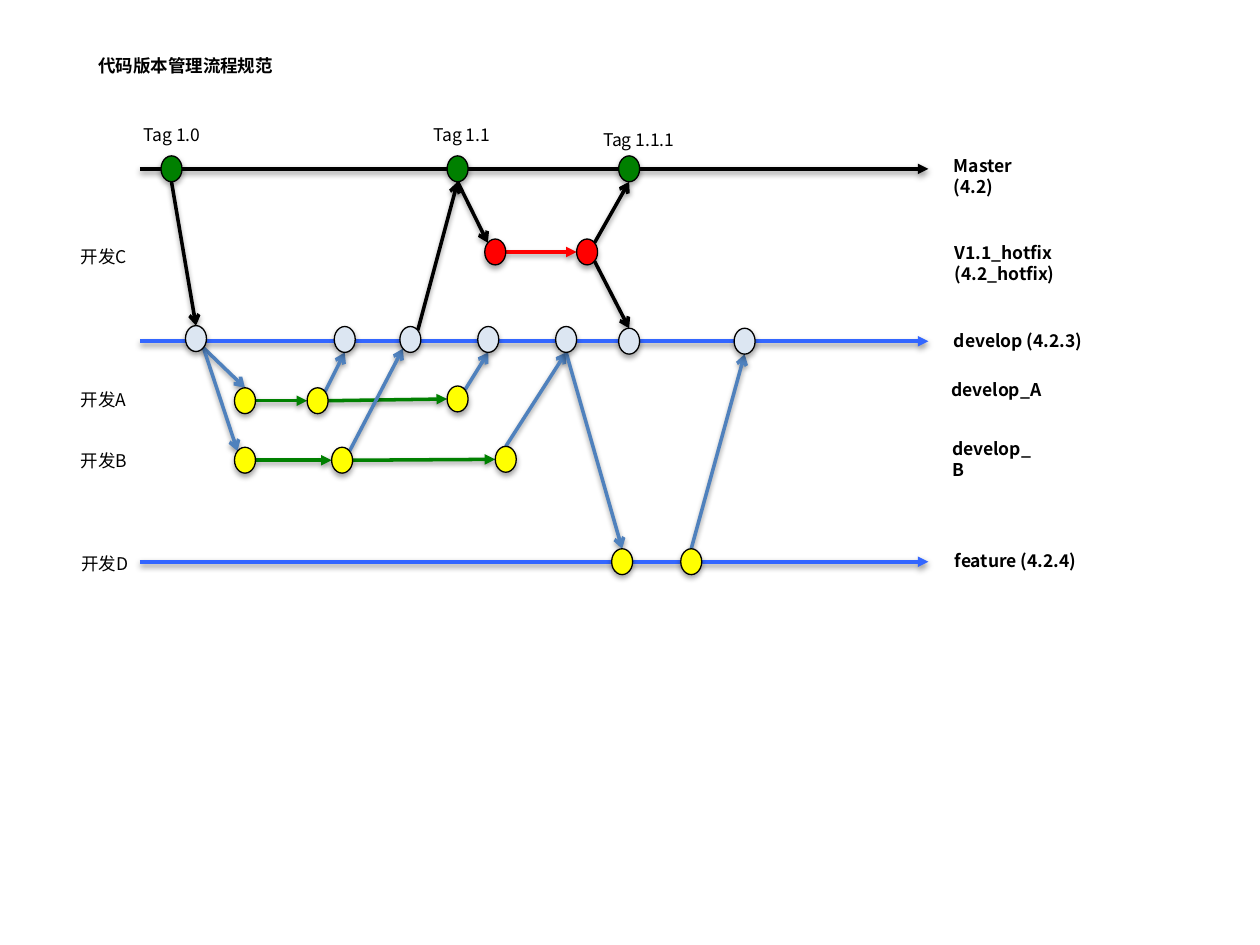
from pptx import Presentation, oxml
from pptx.dml.color import RGBColor
from pptx.enum import shapes, text
from pptx.oxml import ns
from pptx.util import Pt

FONT = "Noto Sans CJK SC"
BLACK = RGBColor(0x00, 0x00, 0x00)
BLUE = RGBColor(0x33, 0x66, 0xFF)
STEEL = RGBColor(0x4F, 0x81, 0xBD)
PALE = RGBColor(0xDC, 0xE6, 0xF2)
GREEN = RGBColor(0x00, 0x80, 0x00)
YELLOW = RGBColor(0xFF, 0xFF, 0x00)
RED = RGBColor(0xFF, 0x00, 0x00)

WIDE, HIGH = 12, 14.8
DIAG = 0.71
SIDES = {
    "N": (0, -1), "S": (0, 1), "E": (1, 0), "W": (-1, 0),
    "NE": (DIAG, -DIAG), "NW": (-DIAG, -DIAG),
    "SE": (DIAG, DIAG), "SW": (-DIAG, DIAG),
}
LANES = [(0, BLACK), (98.5, BLUE), (224.5, BLUE)]
NODES = {
    "tag1": (18, 0, GREEN), "tag2": (181.5, 0, GREEN), "tag3": (279.5, 0, GREEN),
    "fix1": (203, 47.5, RED), "fix2": (255.5, 47.5, RED),
    "dev1": (32, 97, PALE), "dev2": (117, 97.5, PALE), "dev3": (154.5, 97.5, PALE),
    "dev4": (199, 97.5, PALE), "dev5": (243.5, 97.5, PALE),
    "dev6": (279.5, 98.5, PALE), "dev7": (345.5, 98.5, PALE),
    "a1": (60, 132.5, YELLOW), "a2": (101.5, 132.5, YELLOW), "a3": (181.5, 131.5, YELLOW),
    "b1": (60, 166.5, YELLOW), "b2": (115.5, 166.5, YELLOW), "b3": (209, 166, YELLOW),
    "new1": (275.5, 224.5, YELLOW), "new2": (315, 224.5, YELLOW),
}
FLOWS = [
    (GREEN, "triangle", ["a1 E a2 W", "a2 E a3 W", "b1 E b2 W", "b2 E b3 W"]),
    (RED, "triangle", ["fix1 E fix2 W"]),
    (BLACK, "arrow", ["tag1 S dev1 N", "dev3 NE tag2 S", "tag2 S fix1 NW",
                      "fix2 NE tag3 S", "fix2 SE dev6 N"]),
    (STEEL, "arrow", ["dev1 SE a1 N", "dev1 SE b1 NW", "a2 NE dev2 S", "b2 NE dev3 SW",
                      "a3 NE dev4 S", "b3 N dev5 S", "dev5 S new1 N", "new2 N dev7 S"]),
]
TAGS = [("Tag 1.0", 0, 0, 48.5), ("Tag 1.1", 165.5, 0, 49), ("Tag 1.1.1", 262.5, 2.5, 57)]
TEAMS = [("开发C", 0, 0, 41.5), ("开发A", 0, 82, 41.5), ("开发B", 0, 116.5, 41),
         ("开发D", 0.5, 175.5, 42.5)]
NAMES = [
    ("Master\n(4.2)", 0, 0, 92), ("V1.1_hotfix (4.2_hotfix)", 0.5, 49.5, 115),
    ("develop (4.2.3)", 0, 100, 104.5), ("develop_A", -1.5, 128, 67),
    ("develop_B", -1, 161.5, 64), ("feature (4.2.4)", 0.5, 226, 104.5),
]


def shade(item, blur, dist, alpha):
    """Give a shape or connector a soft shadow straight below it."""
    item._element.spPr.append(oxml.parse_xml(
        f'<a:effectLst {ns.nsdecls("a")}><a:outerShdw blurRad="{Pt(blur)}" '
        f'dist="{Pt(dist)}" dir="5400000" rotWithShape="0"><a:srgbClr val="000000">'
        f'<a:alpha val="{alpha * 1000}"/></a:srgbClr></a:outerShdw></a:effectLst>'))


def arrow(slide, start, end, color, head):
    """Draw a straight arrow between two points."""
    line = slide.shapes.add_connector(
        shapes.MSO_CONNECTOR.STRAIGHT, *(Pt(v) for v in (*start, *end)))
    line.line.color.rgb = color
    line.line.width = Pt(2)
    line.line._get_or_add_ln().append(
        oxml.parse_xml(f'<a:tailEnd {ns.nsdecls("a")} type="{head}"/>'))
    shade(line, 3.1, 1.6, 38)


def write(shape, words, box, bold):
    """Place a text shape in its box and set its words and font."""
    shape.left, shape.top, shape.width, shape.height = (Pt(v) for v in box)
    frame = shape.text_frame
    frame.text = words
    frame.word_wrap = True
    frame.auto_size = text.MSO_AUTO_SIZE.SHAPE_TO_FIT_TEXT
    frame.vertical_anchor = text.MSO_ANCHOR.TOP
    for para in frame.paragraphs:
        para.alignment = text.PP_ALIGN.LEFT
        font = para.font
        font.name, font.size, font.bold = FONT, Pt(10), bold
        font.color.rgb = BLACK
        font._element.append(
            oxml.parse_xml(f'<a:ea {ns.nsdecls("a")} typeface="{FONT}"/>'))


def labels(slide, left, top, rows, bold=False):
    """Write a group of labels offset from its corner."""
    for words, x, y, width in rows:
        high = 19.5 + 12 * words.count("\n")
        box = slide.shapes.add_textbox(0, 0, 0, 0)
        write(box, words, (left + x, top + y, width, high), bold)


def graph(slide, left, top, width):
    """Draw the branch lanes, the flows between commits and the commits."""
    def port(name, side):
        """Find the point on one side of a commit."""
        x, y, _ = NODES[name]
        dx, dy = SIDES[side]
        return left + x + dx * WIDE / 2, top + y + dy * HIGH / 2

    for y, color in LANES:
        arrow(slide, (left, top + y), (left + width, top + y), color, "triangle")
    for color, head, links in FLOWS:
        for link in links:
            first, out, last, into = link.split()
            arrow(slide, port(first, out), port(last, into), color, head)
    for x, y, color in NODES.values():
        dot = slide.shapes.add_shape(
            shapes.MSO_SHAPE.OVAL, Pt(left + x - WIDE / 2), Pt(top + y - HIGH / 2),
            Pt(WIDE), Pt(HIGH))
        dot.fill.solid()
        dot.fill.fore_color.rgb = color
        dot.line.color.rgb = BLACK
        dot.line.width = Pt(0.75)
        shade(dot, 3.1, 1.8, 35)


def main():
    """Build the branch workflow slide and save it."""
    deck = Presentation()
    deck.slide_width, deck.slide_height = Pt(720), Pt(540)
    slide = deck.slides.add_slide(deck.slide_layouts[5])
    write(slide.shapes.title, "代码版本管理流程规范", (49, 28, 118, 19.5), True)
    graph(slide, 80, 96.5, 450.5)
    labels(slide, 75, 67.5, TAGS)
    labels(slide, 39, 137, TEAMS)
    labels(slide, 538, 85, NAMES, True)
    deck.save("out.pptx")


if __name__ == "__main__":
    main()
